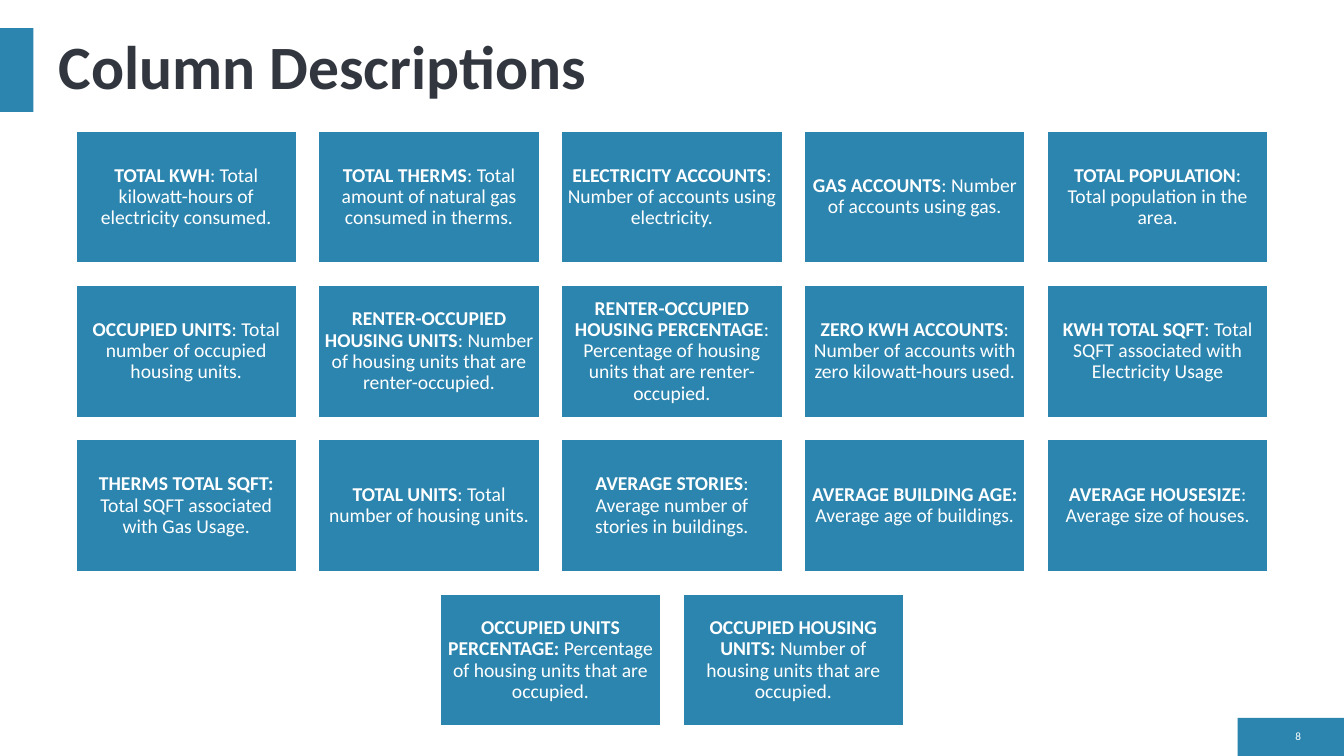
from dataclasses import dataclass
from pptx import Presentation
from pptx.dml.color import RGBColor
from pptx.enum.shapes import MSO_SHAPE
from pptx.enum.text import MSO_ANCHOR, PP_ALIGN
from pptx.util import Cm, Pt

TITLE = "Column Descriptions"
PAGE = "8"
ROWS = [
    [
        ("TOTAL KWH", ": Total kilowatt-hours of electricity consumed."),
        ("TOTAL THERMS", ": Total amount of natural gas consumed in therms."),
        ("ELECTRICITY ACCOUNTS", ": Number of accounts using electricity."),
        ("GAS ACCOUNTS", ": Number of accounts using gas."),
        ("TOTAL POPULATION", ": Total population in the area."),
    ],
    [
        ("OCCUPIED UNITS", ": Total number of occupied housing units."),
        ("RENTER-OCCUPIED HOUSING UNITS", ": Number of housing units that are renter-occupied."),
        ("RENTER-OCCUPIED HOUSING PERCENTAGE", ": Percentage of housing units that are renter-occupied."),
        ("ZERO KWH ACCOUNTS", ": Number of accounts with zero kilowatt-hours used."),
        ("KWH TOTAL SQFT", ": Total SQFT associated with Electricity Usage"),
    ],
    [
        ("THERMS TOTAL SQFT: ", "Total SQFT associated with Gas Usage."),
        ("TOTAL UNITS", ": Total number of housing units."),
        ("AVERAGE STORIES", ": Average number of stories in buildings."),
        ("AVERAGE BUILDING AGE: ", "Average age of buildings."),
        ("AVERAGE HOUSESIZE", ": Average size of houses."),
    ],
    [
        ("OCCUPIED UNITS PERCENTAGE: ", "Percentage of housing units that are occupied."),
        ("OCCUPIED HOUSING UNITS: ", "Number of housing units that are occupied."),
    ],
]


@dataclass(frozen=True)
class Theme:
    font: str = "Calibri"
    blue: RGBColor = RGBColor(0x2C, 0x85, 0xAE)
    ink: RGBColor = RGBColor(0x32, 0x36, 0x3F)
    white: RGBColor = RGBColor(0xFF, 0xFF, 0xFF)
    head: Pt = Pt(44)
    body: Pt = Pt(14)
    small: Pt = Pt(8)


THEME = Theme()
WIDE, HIGH = 33.87, 19.05
CARD_W, CARD_H, GAP, TOP = 5.56, 3.33, 0.56, 3.3


def add_rect(slide, left, top, width, height):
    rect = slide.shapes.add_shape(
        MSO_SHAPE.RECTANGLE, Cm(left), Cm(top), Cm(width), Cm(height))
    rect.shadow.inherit = False
    rect.fill.solid()
    rect.fill.fore_color.rgb = THEME.blue
    rect.line.fill.background()
    return rect


def style(para, size, color, align):
    para.alignment = align
    para.line_spacing = 0.9
    para.font.name = THEME.font
    para.font.size = size
    para.font.color.rgb = color


def add_title(slide):
    title = slide.shapes.title
    title.left, title.top = Cm(1.22), Cm(0.69)
    title.width, title.height = Cm(32), Cm(2.11)
    frame = title.text_frame
    frame.text = TITLE
    frame.vertical_anchor = MSO_ANCHOR.MIDDLE
    para = frame.paragraphs[0]
    style(para, THEME.head, THEME.ink, PP_ALIGN.LEFT)
    para.font.bold = True


def add_page(slide):
    box = slide.shapes.add_textbox(Cm(32), Cm(18.29), Cm(1.04), Cm(0.58))
    frame = box.text_frame
    frame.word_wrap = True
    frame.text = PAGE
    frame.vertical_anchor = MSO_ANCHOR.MIDDLE
    style(frame.paragraphs[0], THEME.small, THEME.white, PP_ALIGN.RIGHT)


def add_card(slide, left, top, name, note):
    card = add_rect(slide, left, top, CARD_W, CARD_H)
    card.line.color.rgb = THEME.white
    card.line.width = Pt(1)
    frame = card.text_frame
    frame.word_wrap = True
    frame.vertical_anchor = MSO_ANCHOR.MIDDLE
    frame.margin_left = frame.margin_right = Cm(0.15)
    frame.margin_top = frame.margin_bottom = Cm(0.15)
    para = frame.paragraphs[0]
    style(para, THEME.body, THEME.white, PP_ALIGN.CENTER)
    for text, bold in ((name, True), (note, False)):
        run = para.add_run()
        run.text = text
        run.font.bold = bold


def main():
    deck = Presentation()
    deck.slide_width, deck.slide_height = Cm(WIDE), Cm(HIGH)
    slide = deck.slides.add_slide(deck.slide_layouts[5])
    add_rect(slide, 31.19, 18.09, WIDE - 31.19, HIGH - 18.09)
    add_rect(slide, 0, 0.71, 0.84, 2.11)
    add_title(slide)
    add_page(slide)
    for i, row in enumerate(ROWS):
        span = len(row) * (CARD_W + GAP) - GAP
        for j, (name, note) in enumerate(row):
            left = (WIDE - span) / 2 + j * (CARD_W + GAP)
            add_card(slide, left, TOP + i * (CARD_H + GAP), name, note)
    deck.save("out.pptx")


if __name__ == "__main__":
    main()
